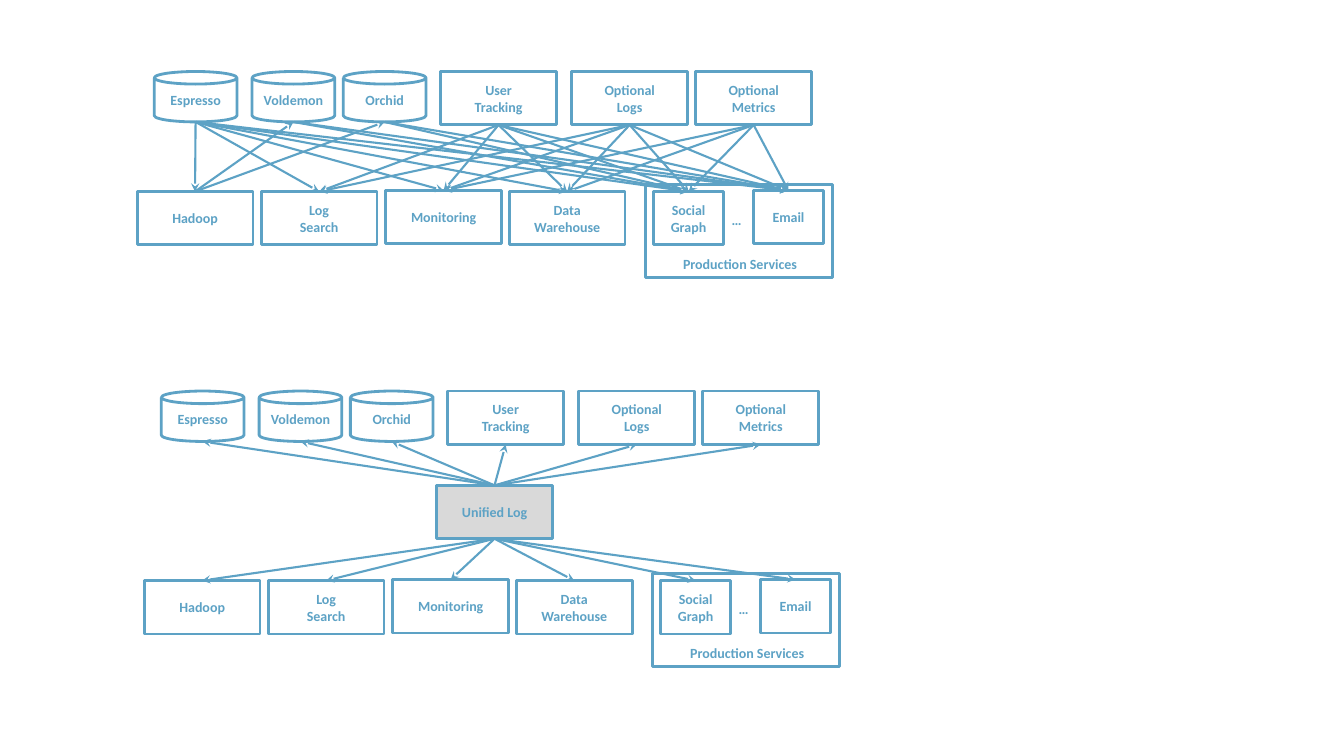
from lxml import etree
from pptx import Presentation
from pptx import util as u
from pptx.dml.color import RGBColor
from pptx.enum import shapes, text
from pptx.oxml.ns import qn

BLUE, GREY = "5DA2C5", "D9D9D9"
CAN, RECT = shapes.MSO_SHAPE.CAN, shapes.MSO_SHAPE.RECTANGLE
CAN_SIZE, BOX_SIZE, SERVICE_SIZE = (8.2, 5), (11.5, 5.3), (7, 5.3)

SOURCES = [
    ("Espresso", 15.3, CAN, CAN_SIZE),
    ("Voldemon", 25, CAN, CAN_SIZE),
    ("Orchid", 34.05, CAN, CAN_SIZE),
    ("User\nTracking", 43.7, RECT, BOX_SIZE),
    ("Optional\nLogs", 56.7, RECT, BOX_SIZE),
    ("Optional\nMetrics", 69, RECT, BOX_SIZE),
]
FIRST_FED_SINK = [0, 4, 4, 1, 1, 2]
SINKS = [
    ("Hadoop", 13.6, BOX_SIZE, 0),
    ("Log\nSearch", 25.9, BOX_SIZE, 0),
    ("Monitoring", 38.25, BOX_SIZE, 0.1),
    ("Data\nWarehouse", 50.5, BOX_SIZE, 0),
    ("Social\nGraph", 64.8, SERVICE_SIZE, 0),
    ("Email", 74.7, SERVICE_SIZE, 0.1),
]


def rgb(value):
    return RGBColor.from_string(value)


class Board:
    """Holds the slide, its style and a grid of tenth-inch columns and rows."""

    cell = u.Inches(0.1)
    font, size, color = "Calibri", u.Pt(10), BLUE
    outline, stroke = u.Pt(2), u.Pt(1.5)

    def __init__(self, slide):
        self.slide = slide

    def grid(self, *counts):
        return [round(count * self.cell) for count in counts]

    def set_words(self, frame, words):
        frame.word_wrap = True
        frame.vertical_anchor = text.MSO_ANCHOR.MIDDLE
        frame.margin_left = frame.margin_right = 0
        frame.margin_top = frame.margin_bottom = 0
        frame.text = words
        for line in frame.paragraphs:
            line.alignment = text.PP_ALIGN.CENTER
            line.font.name, line.font.size = self.font, self.size
            line.font.bold = True
            line.font.color.rgb = rgb(self.color)

    def node(self, words, column, row, size, kind=RECT, fill=None):
        node = self.slide.shapes.add_shape(kind, *self.grid(column, row, *size))
        node.shadow.inherit = False
        node.line.color.rgb, node.line.width = rgb(self.color), self.outline
        if fill:
            node.fill.solid()
            node.fill.fore_color.rgb = rgb(fill)
        else:
            node.fill.background()
        if words:
            self.set_words(node.text_frame, words)
        return node

    def label(self, words, column, row, size):
        label = self.slide.shapes.add_textbox(*self.grid(column, row, *size))
        self.set_words(label.text_frame, words)

    def arrow(self, origin, target):
        upper, lower = sorted((origin, target), key=lambda node: node.top)
        level = {upper.shape_id: upper.top + upper.height, lower.shape_id: lower.top}
        ends = [value for node in (origin, target)
                for value in (node.left + node.width // 2, level[node.shape_id])]
        arrow = self.slide.shapes.add_connector(shapes.MSO_CONNECTOR.STRAIGHT, *ends)
        arrow.line.color.rgb, arrow.line.width = rgb(self.color), self.stroke
        properties = arrow.element.spPr
        etree.SubElement(properties.find(qn("a:ln")), qn("a:tailEnd"), type="stealth")
        etree.SubElement(properties, qn("a:effectLst"))

    def systems(self, shift, source_row, sink_row):
        sources = [self.node(name, column + shift, source_row, size, kind)
                   for name, column, kind, size in SOURCES]
        self.node("", 64 + shift, sink_row - 0.7, (18.6, 9.2))
        sinks = [self.node(name, column + shift, sink_row - lift, size)
                 for name, column, size, lift in SINKS]
        self.label("Production Services", 65.1 + shift, sink_row + 5.8, (16.6, 2.7))
        self.label("…", 71.8 + shift, sink_row + 1.5, (2.5, 2.7))
        return sources, sinks


def main():
    deck = Presentation()
    deck.slide_width, deck.slide_height = u.Inches(13.33), u.Inches(7.5)
    board = Board(deck.slides.add_slide(deck.slide_layouts[6]))

    sources, sinks = board.systems(0, 7.1, 19)
    for source, first in zip(sources, FIRST_FED_SINK):
        for sink in sinks[first:]:
            board.arrow(source, sink)
    hadoop = sinks[0]
    for store in sources[1:3]:
        board.arrow(hadoop, store)

    sources, sinks = board.systems(0.7, 38.8, 57.6)
    unified_log = board.node("Unified Log", 43.3, 48.15, BOX_SIZE, fill=GREY)
    for system in sources + sinks:
        board.arrow(unified_log, system)

    deck.save("out.pptx")


if __name__ == "__main__":
    main()
